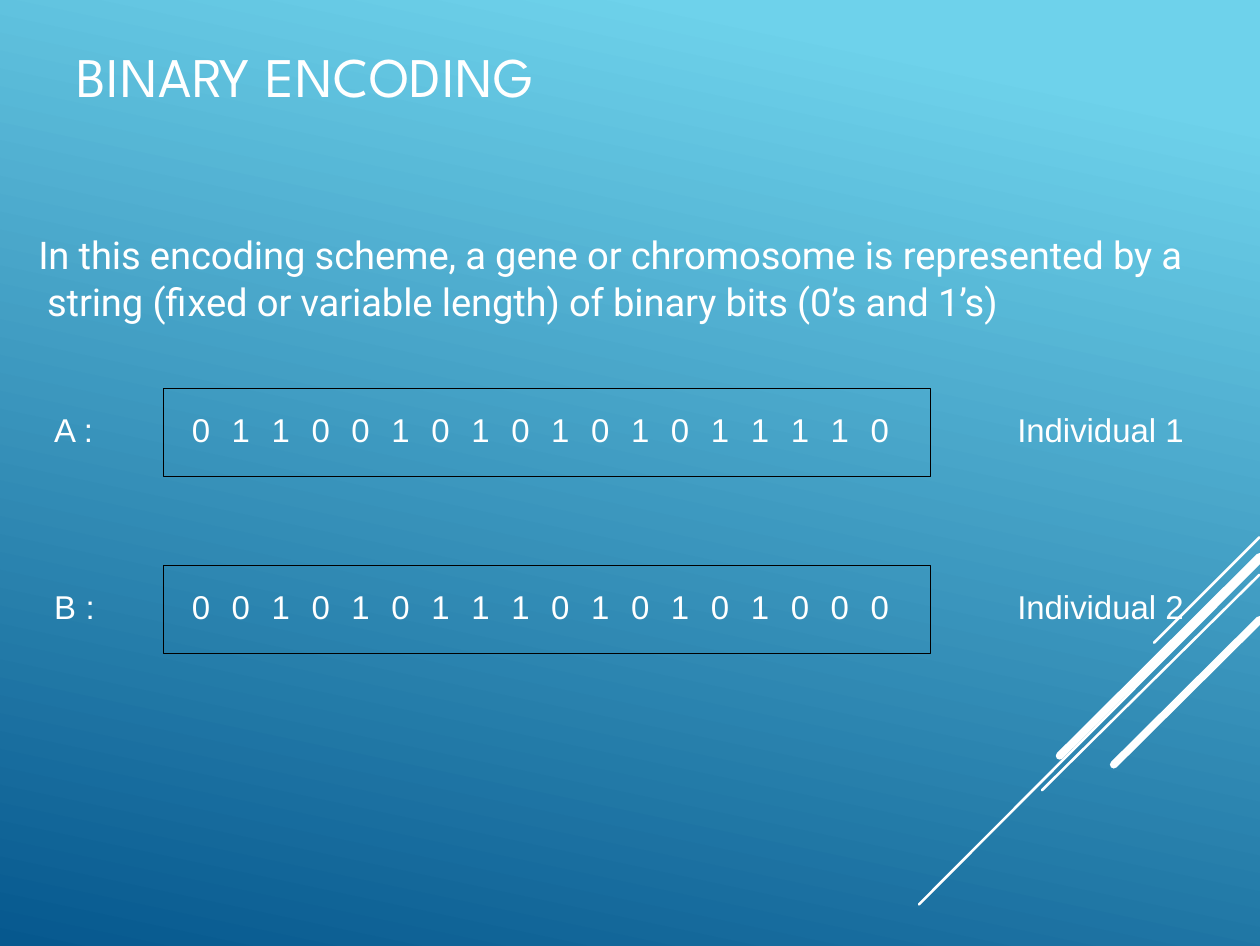
from dataclasses import dataclass

from lxml import etree
from pptx import Presentation
from pptx import util as u
from pptx.dml import color
from pptx.enum import shapes, text
from pptx.oxml import ns

WHITE = "FFFFFF"
BLACK = "000000"


@dataclass
class Label:
    """A piece of text; lengths in cm, sizes and letter spacing in points."""
    words: str
    left: float
    top: float
    width: float
    height: float
    size: float = 9.5
    font: str = "Arial"
    inset: float = 0.05
    indent: float = 0.03
    first_line: float = 0
    tracking: float = 0.1
    line_spacing: float = 1.0
    anchor: text.MSO_ANCHOR = text.MSO_ANCHOR.TOP
    outlined: bool = False


@dataclass
class Streak:
    """A diagonal line rising to the right edge; lengths in cm."""
    right_y: float
    left_x: float
    left_y: float
    weight: float


@dataclass
class Individual:
    letter: str
    name: str
    bits: str


def rgb(value: str) -> color.RGBColor:
    return color.RGBColor.from_string(value)


def paint_background(page) -> None:
    fill = page.background.fill
    fill.gradient()
    fill.gradient_angle = 258
    for stop, (position, value) in zip(fill.gradient_stops, [(0.1, "6ED2EB"), (1.0, "06588E")]):
        stop.position = position
        stop.color.rgb = rgb(value)


def draw_streak(page, streak: Streak, right: float) -> None:
    line = page.shapes.add_connector(
        shapes.MSO_CONNECTOR.STRAIGHT, u.Cm(right), u.Cm(streak.right_y),
        u.Cm(streak.left_x), u.Cm(streak.left_y))
    line.line.color.rgb = rgb(WHITE)
    line.line.width = u.Pt(streak.weight)
    line.line._get_or_add_ln().set("cap", "rnd")
    etree.SubElement(line._element.spPr, ns.qn("a:effectLst"))


def draw_label(page, label: Label) -> None:
    place = [u.Cm(n) for n in (label.left, label.top, label.width, label.height)]
    if label.outlined:
        box = page.shapes.add_shape(shapes.MSO_SHAPE.RECTANGLE, *place)
        box.shadow.inherit = False
        box.fill.background()
        box.line.color.rgb = rgb(BLACK)
        box.line.width = u.Pt(0.25)
    else:
        box = page.shapes.add_textbox(*place)

    frame = box.text_frame
    frame.word_wrap = True
    frame.vertical_anchor = label.anchor
    frame.margin_left = frame.margin_right = frame.margin_bottom = 0
    frame.margin_top = u.Cm(label.inset)

    para = frame.paragraphs[0]
    para.alignment = text.PP_ALIGN.LEFT
    para.line_spacing = label.line_spacing
    para.font.name = label.font
    para.font.size = u.Pt(label.size)
    para.font.color.rgb = rgb(WHITE)
    properties = para._p.get_or_add_pPr()
    properties.set("marL", str(u.Cm(label.indent)))
    properties.set("indent", str(u.Cm(label.first_line)))
    span = para.add_run()
    span.text = label.words
    span._r.get_or_add_rPr().set("spc", str(round(label.tracking * 100)))


STREAKS = [
    Streak(5.46, 11.73, 6.53, 0.75),
    Streak(5.72, 9.34, 9.19, 0.75),
    Streak(5.84, 10.59, 8.03, 0.75),
    Streak(5.66, 10.77, 7.68, 2.25),
    Streak(6.3, 11.32, 7.77, 2.25),
]

HEADINGS = [
    Label("BINARY ENCODING", 0.75, 0.37, 6.78, 0.74, size=16.1, font="League Spartan",
          tracking=0.2, anchor=text.MSO_ANCHOR.MIDDLE),
    Label("In this encoding scheme, a gene or chromosome is represented by a "
          "string (fixed or variable length) of binary bits (0’s and 1’s)",
          0.36, 2.31, 11.76, 1.02, size=11, font="Roboto", inset=0.03,
          indent=0.12, first_line=-0.09, tracking=-0.05, line_spacing=1.03),
]

INDIVIDUALS = [
    Individual("A", "Individual 1", "011001010101011110"),
    Individual("B", "Individual 2", "001010111010101000"),
]
FIRST_ROW, ROW_PITCH = 3.95, 1.8


def main() -> None:
    deck = Presentation()
    deck.slide_width, deck.slide_height = u.Pt(363), u.Pt(272.5)
    page = deck.slides.add_slide(deck.slide_layouts[6])

    # Backdrop
    paint_background(page)
    for streak in STREAKS:
        draw_streak(page, streak, right=12.8)

    # Title and explanation
    for heading in HEADINGS:
        draw_label(page, heading)

    # One row per individual: letter, bit string, name
    for index, individual in enumerate(INDIVIDUALS):
        top = FIRST_ROW + index * ROW_PITCH
        draw_label(page, Label(" ".join(individual.bits), 1.66, top, 7.8, 0.89, inset=0.21,
                               indent=0.29, tracking=1.8, outlined=True))
        draw_label(page, Label(f"{individual.letter} :", 0.52, top + 0.16, 0.48, 0.48))
        draw_label(page, Label(individual.name, 10.31, top + 0.16, 1.78, 0.48, tracking=0))

    deck.save("out.pptx")


if __name__ == "__main__":
    main()
